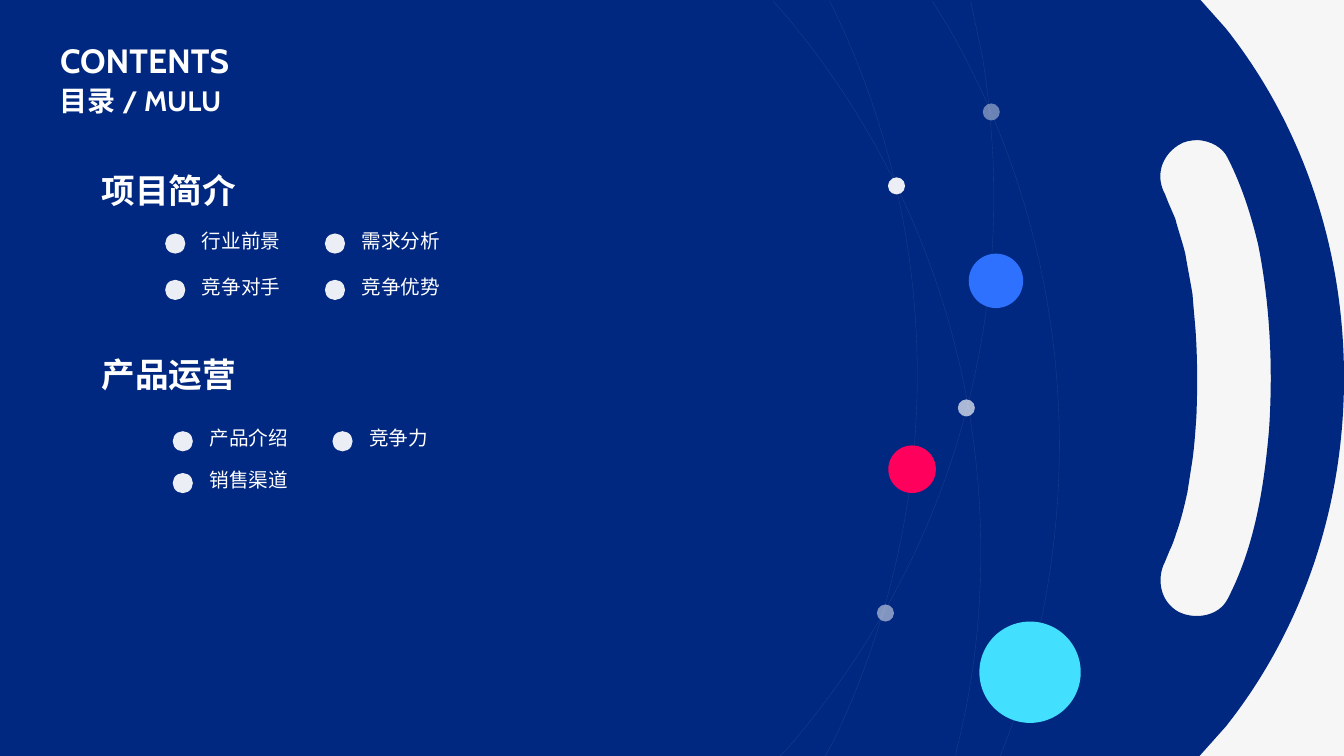
from dataclasses import dataclass

import pptx
import pptx.dml.color
import pptx.enum.shapes
import pptx.enum.text
import pptx.oxml
import pptx.oxml.ns
import pptx.util
from lxml import etree

Pt = pptx.util.Pt
qn = pptx.oxml.ns.qn
FONT = "Cabin"
COLORS = {"paper": "F6F6F6", "navy": "002880", "white": "FFFFFF",
          "red": "FF005C", "cyan": "42DFFF", "blue": "2F71FF"}
COLUMN_GAP = 114.1
DOT_SIZE = 14.4


@dataclass
class Circle:
    left: float
    top: float
    size: float
    color: str = "white"
    alpha: int = 100


@dataclass
class Section:
    heading: str
    placeholder: int
    top: float
    height: float
    line_spacing: float
    items_left: float
    items_top: float
    row_gap: float
    items: list[str]


PANEL = [(0, 0), (857.5, 0), (875.5, 20.2),
         (928.1, 86.4, 960, 173.5, 960, 270),
         (960, 365.8, 928.1, 452.9, 875.5, 519.1), (856.8, 540), (0, 540)]

CRESCENT = [
    (856.1, 100.1), (851, 100.1, 846, 100.8, 841.7, 103.7),
    (829.4, 111.6, 825.1, 126, 832.3, 139),
    (833, 141.1, 833.8, 142.6, 834.5, 144.7), (839.5, 156.2),
    (841.7, 164.9, 844.6, 172.8, 846.7, 181.4),
    (848.2, 190.8, 850.3, 200.9, 851.8, 210.2), (852.5, 218.9), (853.9, 234.7),
    (855.4, 255.6, 855.4, 276.5, 854.6, 297.4),
    (853.9, 307.4, 853.2, 318.2, 851.8, 328.3), (848.2, 351.4),
    (846, 361.4, 843.8, 370.8, 840.2, 380.9),
    (838.8, 385.2, 837.4, 389.5, 835.2, 393.8), (832.3, 401),
    (825.8, 413.3, 828.7, 429.8, 841.7, 437),
    (853.2, 442.8, 870.5, 440.6, 877, 427.7),
    (896.4, 390.2, 902.9, 347.8, 906.5, 306.7),
    (909.4, 262.1, 907.2, 217.4, 898.6, 174.2),
    (893.5, 153.4, 887, 132.5, 877, 113),
    (873.4, 105.1, 864.7, 100.8, 856.1, 100.1)]

ORBITS = [
    [(552.2, 0.7), (562.3, 12.2), (648.7, 115.9, 700.6, 249.1, 700.6, 394.6),
     (700.6, 443.5, 694.8, 490.3, 683.3, 535.7), (682.6, 540.7)],
    [(666, 0.7), (677.5, 19.4), (727.9, 107.3, 756.7, 209.5, 756.7, 318.2),
     (756.7, 390.2, 743.8, 460.1, 720.7, 524.2), (714.2, 540.7)],
    [(592.6, 0.7), (596.2, 7.9), (633.6, 86.4, 655.2, 174.2, 655.2, 267.8),
     (655.2, 360.7, 633.6, 448.6, 596.2, 527.8), (589, 540.7)],
    [(693.4, 0.7), (702, 41.8), (707, 74.2, 709.9, 107.3, 709.9, 140.4),
     (709.9, 291.6, 653.8, 429.8, 561.6, 535.7), (556.6, 540.7)]]

CIRCLES = [
    Circle(634.3, 126.7, 12.2, alpha=92), Circle(702, 73.9, 12.2, alpha=42),
    Circle(684.2, 285.3, 12.2, alpha=67), Circle(626.4, 431.8, 12.2, alpha=51),
    Circle(634.5, 318.2, 34, "red"), Circle(699.6, 444, 72.4, "cyan"),
    Circle(692, 181.2, 38.9, "blue")]

SECTIONS = [
    Section("项目简介", 1, 112, 41.8, 1.2, 137.2, 159.8, 33.1,
            ["行业前景", "需求分析", "竞争对手", "竞争优势"]),
    Section("产品运营", 3, 249.1, 36, 1, 142.6, 301, 29.9,
            ["产品介绍", "竞争力", "销售渠道"])]


def rgb(name: str) -> pptx.dml.color.RGBColor:
    return pptx.dml.color.RGBColor.from_string(COLORS[name])


def vertices(outline: list[tuple]) -> list[tuple]:
    return [(Pt(step[i]), Pt(step[i + 1]))
            for step in outline for i in range(0, len(step), 2)]


def bend(sp, outlines: list[list[tuple]]) -> None:
    lines = iter(list(sp._element.iter(qn("a:lnTo"))))
    for outline in outlines:
        for step in outline[1:]:
            group = [next(lines) for _ in range(len(step) // 2)]
            if len(group) == 1:
                continue
            curve = pptx.oxml.parse_xml(
                f'<a:cubicBezTo {pptx.oxml.ns.nsdecls("a")}/>')
            group[0].addprevious(curve)
            for line in group:
                curve.append(line[0])
                line.getparent().remove(line)


def draw_outline(s, outlines: list[list[tuple]], close: bool):
    first, *rest = [vertices(outline) for outline in outlines]
    builder = s.shapes.build_freeform(*first[0], scale=1.0)
    builder.add_line_segments(first[1:], close=close)
    for points in rest:
        builder.move_to(*points[0])
        builder.add_line_segments(points[1:], close=close)
    sp = builder.convert_to_shape()
    bend(sp, outlines)
    sp.shadow.inherit = False
    return sp


def set_alpha(sp, percent: int) -> None:
    for color in sp._element.spPr.iter(qn("a:srgbClr")):
        etree.SubElement(color, qn("a:alpha")).set("val", str(percent * 1000))


def draw_circle(s, circle: Circle) -> None:
    sp = s.shapes.add_shape(pptx.enum.shapes.MSO_SHAPE.OVAL, Pt(circle.left),
                            Pt(circle.top), Pt(circle.size), Pt(circle.size))
    sp.shadow.inherit = False
    sp.line.fill.background()
    sp.fill.solid()
    sp.fill.fore_color.rgb = rgb(circle.color)
    if circle.alpha < 100:
        set_alpha(sp, circle.alpha)


def write(sp, text: str, box: tuple, size: float, bold: bool = False,
          spacing: float = 1) -> None:
    sp.left, sp.top, sp.width, sp.height = [Pt(v) for v in box]
    tf = sp.text_frame
    tf.text = text
    tf.word_wrap = True
    tf.auto_size = pptx.enum.text.MSO_AUTO_SIZE.NONE
    tf.vertical_anchor = pptx.enum.text.MSO_ANCHOR.TOP
    p = tf.paragraphs[0]
    p.alignment = pptx.enum.text.PP_ALIGN.LEFT
    p.line_spacing = spacing
    p.space_before = Pt(0)
    p.font.name = FONT
    p.font.size = Pt(size)
    p.font.bold = bold
    p.font.color.rgb = rgb("white")


def draw_section(s, section: Section) -> None:
    write(s.placeholders[section.placeholder], section.heading,
          (65.5, section.top, 185, section.height), 24, True, section.line_spacing)
    for i, item in enumerate(section.items):
        row, column = divmod(i, 2)
        left = section.items_left + column * COLUMN_GAP
        top = section.items_top + row * section.row_gap
        box = (left, top, 85, 24.5)
        write(s.shapes.add_textbox(*[Pt(v) for v in box]), item, box, 14)
        draw_circle(s, Circle(left - 19.2, top + 7, DOT_SIZE, alpha=92))


def main() -> None:
    prs = pptx.Presentation()
    prs.slide_width, prs.slide_height = Pt(960), Pt(540)
    s = prs.slides.add_slide(prs.slide_layouts.get_by_name("Comparison"))
    s.background.fill.solid()
    s.background.fill.fore_color.rgb = rgb("paper")

    panel = draw_outline(s, [PANEL, CRESCENT], close=True)
    panel.fill.solid()
    panel.fill.fore_color.rgb = rgb("navy")
    panel.line.fill.background()
    s.shapes._spTree.insert(2, panel._element)

    for outline in ORBITS:
        orbit = draw_outline(s, [outline], close=False)
        orbit.fill.background()
        orbit.line.width = Pt(0.25)
        orbit.line.color.rgb = rgb("white")
        set_alpha(orbit, 10)

    for circle in CIRCLES:
        draw_circle(s, circle)
    write(s.shapes.title, "CONTENTS", (35.7, 25, 163.5, 36), 24, True)
    subtitle_box = (35.7, 56.2, 130, 55.4)
    subtitle = s.shapes.add_textbox(*[Pt(v) for v in subtitle_box])
    write(subtitle, "目录 / MULU", subtitle_box, 20, True)
    for section in SECTIONS:
        draw_section(s, section)
    for placeholder in list(s.placeholders):
        if not placeholder.text_frame.text:
            s.shapes._spTree.remove(placeholder._element)
    prs.save("out.pptx")


if __name__ == "__main__":
    main()
